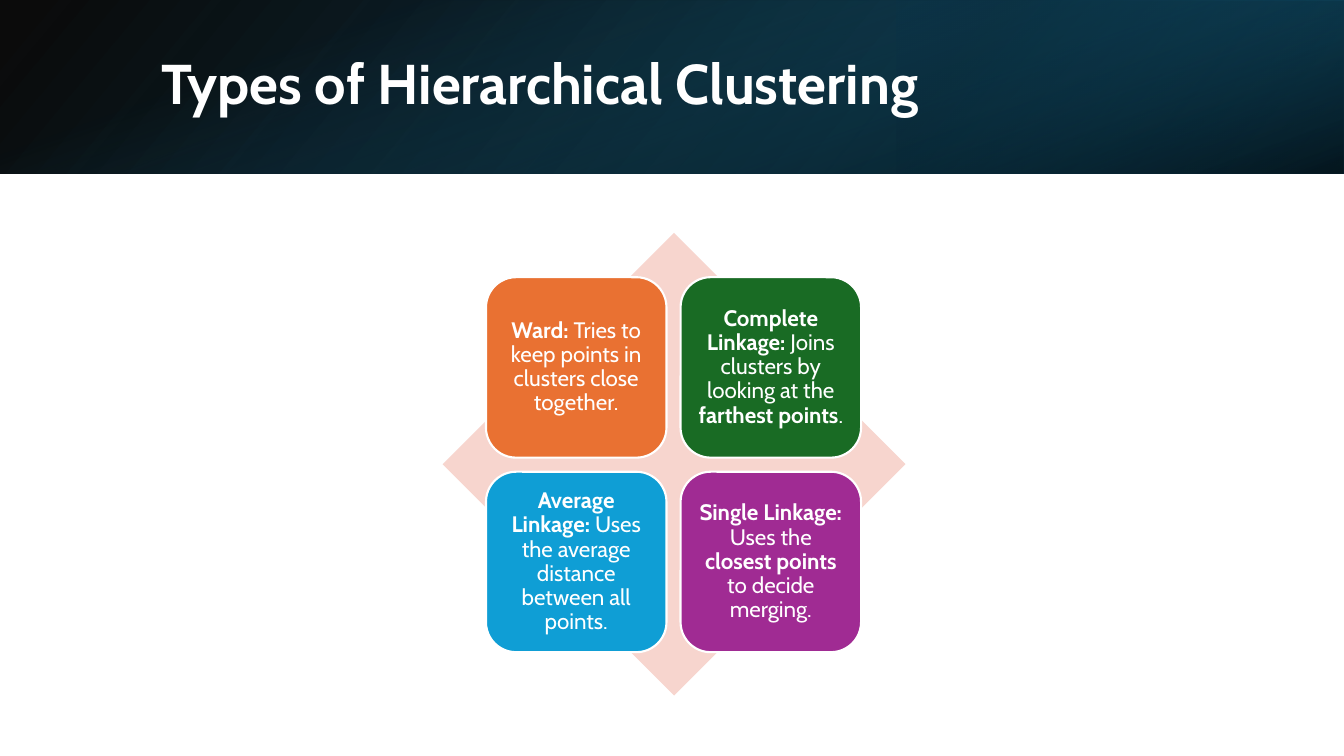
"""Build the slide on the types of hierarchical clustering."""
import pptx
import pptx.util
import pptx.oxml
import pptx.oxml.ns
import pptx.dml.color
import pptx.enum.shapes
import pptx.enum.text

Inches, Pt = pptx.util.Inches, pptx.util.Pt
RGBColor = pptx.dml.color.RGBColor
MSO_SHAPE = pptx.enum.shapes.MSO_SHAPE
PP_ALIGN = pptx.enum.text.PP_ALIGN

WHITE = RGBColor(0xFF, 0xFF, 0xFF)
PINK = RGBColor(0xF7, 0xD5, 0xCE)
ORANGE = RGBColor(0xE9, 0x71, 0x32)
GREEN = RGBColor(0x19, 0x6B, 0x24)
BLUE = RGBColor(0x0F, 0x9E, 0xD5)
PURPLE = RGBColor(0xA0, 0x2B, 0x93)
BLACK = RGBColor(0x00, 0x00, 0x00)
TEAL = RGBColor(0x10, 0x48, 0x62)
DARK_TEAL = RGBColor(0x0B, 0x30, 0x41)
LIGHT_TEAL = RGBColor(0x15, 0x60, 0x82)


def add_shape(kind, x, y, w, h):
    sp = slide.shapes.add_shape(kind, Inches(x), Inches(y), Inches(w), Inches(h))
    sp.shadow.inherit = False
    sp.line.fill.background()
    return sp


def add_text(tf, size, align, runs):
    tf.word_wrap = True
    tf.vertical_anchor = pptx.enum.text.MSO_ANCHOR.MIDDLE
    p = tf.paragraphs[0]
    p.alignment = align
    p.line_spacing = 0.9
    for text, bold in runs:
        r = p.add_run()
        r.text = text
        r.font.name = "Cabin"
        r.font.size = Pt(size)
        r.font.bold = bold
        r.font.color.rgb = WHITE


prs = pptx.Presentation()
prs.slide_width, prs.slide_height = Inches(13.33), Inches(7.5)
slide = prs.slides.add_slide(prs.slide_layouts[6])

banner_layers = [
    ((0, 0, 13.33, 1.72), 0, True, 140, [(0, BLACK, 96), (100, TEAL, 100)]),
    ((8.89, 0, 4.44, 1.72), 180, True, 320, [(19, DARK_TEAL, 68), (100, LIGHT_TEAL, 79)]),
    ((5.8, -5.8, 1.72, 13.33), 90, False, 340, [(23, LIGHT_TEAL, 0), (99, BLACK, 74)]),
]
for box, rotation, flipped, angle, stops in banner_layers:
    sp = add_shape(MSO_SHAPE.RECTANGLE, *box)
    sp.rotation = rotation
    spPr = sp.element.spPr
    if flipped:
        spPr.get_or_add_xfrm().set("flipH", "1")
    gs = "".join(
        f'<a:gs pos="{pos * 1000}"><a:srgbClr val="{color}">'
        f'<a:alpha val="{alpha * 1000}"/></a:srgbClr></a:gs>'
        for pos, color, alpha in stops
    )
    spPr.insert(2, pptx.oxml.parse_xml(
        f'<a:gradFill {pptx.oxml.ns.nsdecls("a")} rotWithShape="1"><a:gsLst>{gs}</a:gsLst>'
        f'<a:lin ang="{angle * 60000}" scaled="0"/></a:gradFill>'
    ))

title = slide.shapes.add_textbox(Inches(1.5), Inches(0.38), Inches(10.98), Inches(0.96))
add_text(title.text_frame, 40, PP_ALIGN.LEFT, [("Types of Hierarchical Clustering", True)])

diamond = add_shape(MSO_SHAPE.DIAMOND, 4.39, 2.31, 4.59, 4.59)
diamond.fill.solid()
diamond.fill.fore_color.rgb = PINK

cards = [
    (ORANGE, [("Ward:", True), (" Tries to keep points in clusters close together.", False)]),
    (GREEN, [("Complete Linkage:", True), (" Joins clusters by looking at the ", False),
             ("farthest points", True), (".", False)]),
    (BLUE, [("Average Linkage:", True),
            (" Uses the average distance between all points.", False)]),
    (PURPLE, [("Single Linkage:", True), (" Uses the ", False),
              ("closest points", True), (" to decide merging.", False)]),
]
CARD, PITCH = 1.79, 1.93
for i, (color, runs) in enumerate(cards):
    row, col = divmod(i, 2)
    sp = add_shape(MSO_SHAPE.ROUNDED_RECTANGLE,
                   4.82 + col * PITCH, 2.75 + row * PITCH, CARD, CARD)
    sp.fill.solid()
    sp.fill.fore_color.rgb = color
    sp.line.color.rgb = WHITE
    sp.line.width = Pt(1.5)
    tf = sp.text_frame
    tf.margin_left = tf.margin_right = tf.margin_top = tf.margin_bottom = Inches(0.07)
    add_text(tf, 16, PP_ALIGN.CENTER, runs)

prs.save("out.pptx")
